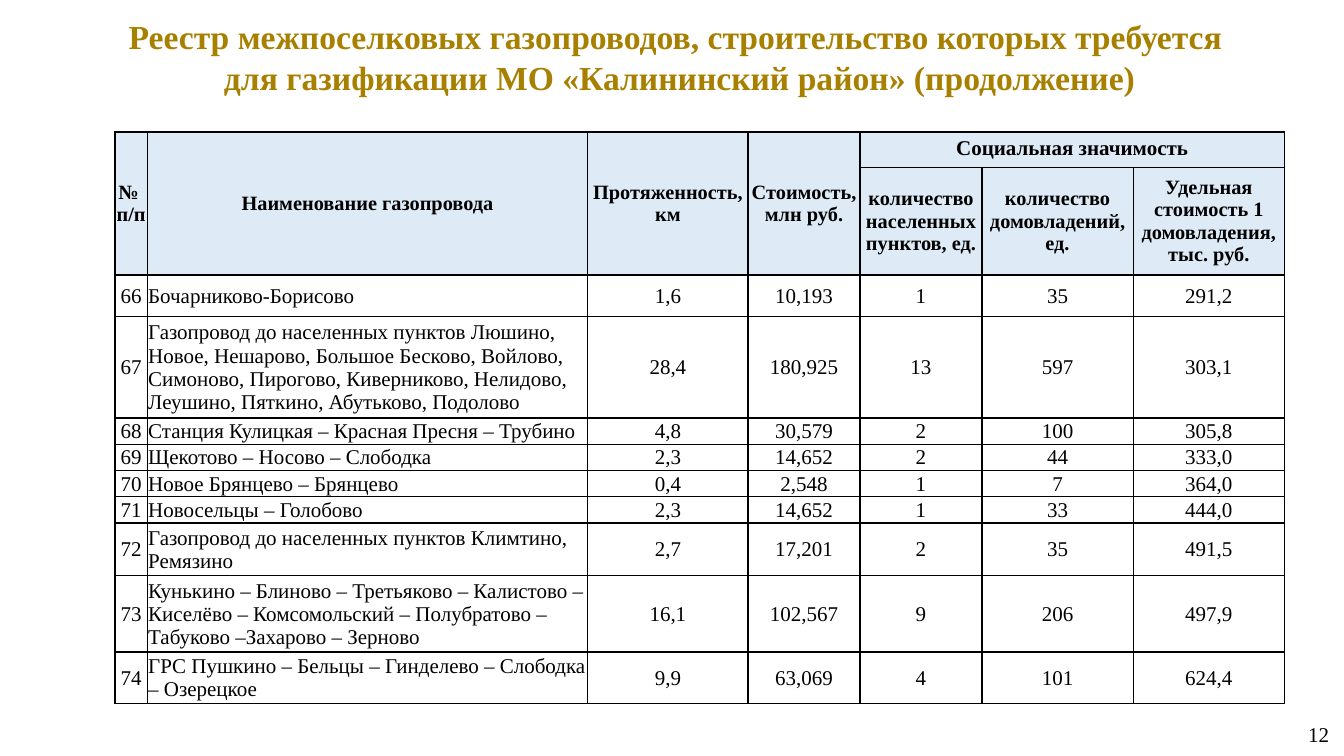
from lxml import etree
from pptx import Presentation
from pptx.dml.color import RGBColor
from pptx.enum.text import MSO_ANCHOR, PP_ALIGN
from pptx.oxml.ns import qn
from pptx.util import Inches, Pt

LEFT, CENTER, RIGHT = PP_ALIGN.LEFT, PP_ALIGN.CENTER, PP_ALIGN.RIGHT
TOP, MIDDLE = MSO_ANCHOR.TOP, MSO_ANCHOR.MIDDLE

THEME = {
    "font": "Times New Roman",
    "title": "A88000",
    "ink": "000000",
    "header": "DEEBF7",
    "title_size": 24,
    "body_size": 15,
    "header_size": 14.5,
    "border": 0.96,
}

TITLE = (
    "Реестр межпоселковых газопроводов, строительство которых требуется \n"
    "для газификации МО «Калининский район» (продолжение)"
)
PAGE_NUMBER = "12"
TALL_HEADINGS = ["№ \vп/п", "Наименование газопровода", "Протяженность, км", "Стоимость, млн руб."]
GROUP_HEADING = "Социальная значимость"
SUB_HEADINGS = [
    "количество населенных пунктов, ед.",
    "количество\nдомовладений, ед.",
    "Удельная стоимость 1 домовладения, тыс. руб.",
]
FIRST_NUMBER = 66
PIPELINES = [
    ("Бочарниково-Борисово", "1,6", "10,193", "1", "35", "291,2"),
    ("Газопровод до населенных пунктов Люшино, Новое, Нешарово, Большое Бесково, Войлово, "
     "Симоново, Пирогово, Киверниково, Нелидово, Леушино, Пяткино, Абутьково, Подолово",
     "28,4", "180,925", "13", "597", "303,1"),
    ("Станция Кулицкая – Красная Пресня – Трубино", "4,8", "30,579", "2", "100", "305,8"),
    ("Щекотово – Носово – Слободка", "2,3", "14,652", "2", "44", "333,0"),
    ("Новое Брянцево – Брянцево", "0,4", "2,548", "1", "7", "364,0"),
    ("Новосельцы – Голобово", "2,3", "14,652", "1", "33", "444,0"),
    ("Газопровод до населенных пунктов Климтино, Ремязино", "2,7", "17,201", "2", "35", "491,5"),
    ("Кунькино – Блиново – Третьяково – Калистово – Киселёво – Комсомольский – Полубратово – "
     "Табуково –Захарово – Зерново", "16,1", "102,567", "9", "206", "497,9"),
    ("ГРС Пушкино – Бельцы – Гинделево – Слободка – Озерецкое",
     "9,9", "63,069", "4", "101", "624,4"),
]
COLUMN_WIDTHS = [0.32, 4.37, 1.59, 1.11, 1.21, 1.5, 1.5]
ROW_HEIGHTS = [0.35, 1.06, 0.41, 1.0, 0.26, 0.26, 0.26, 0.26, 0.52, 0.76, 0.5]


def write(frame, text, size, color=THEME["ink"], bold=False, align=CENTER):
    for index, line in enumerate(text.split("\n")):
        para = frame.add_paragraph() if index else frame.paragraphs[0]
        para.text = line
        para.alignment = align
        for span in para.runs:
            span.font.name = THEME["font"]
            span.font.size = Pt(size)
            span.font.bold = bold
            span.font.color.rgb = RGBColor.from_string(color)


def add_text(page, place, text, **style):
    box = page.shapes.add_textbox(*map(Inches, place))
    box.text_frame.word_wrap = True
    box.text_frame.vertical_anchor = MIDDLE
    write(box.text_frame, text, **style)


def add_borders(cell):
    properties = cell._tc.get_or_add_tcPr()
    for index, side in enumerate(("lnL", "lnR", "lnT", "lnB")):
        line = etree.Element(qn(f"a:{side}"), w=str(Pt(THEME["border"])))
        fill = etree.SubElement(line, qn("a:solidFill"))
        etree.SubElement(fill, qn("a:srgbClr"), val=THEME["ink"])
        properties.insert(index, line)


def style_cell(cell, header):
    cell.margin_left = cell.margin_right = Inches(0.01)
    cell.margin_top = Inches(0.05 if header else 0.01)
    cell.margin_bottom = Inches(0.05 if header else 0)
    cell.vertical_anchor = MIDDLE
    if header:
        cell.fill.solid()
        cell.fill.fore_color.rgb = RGBColor.from_string(THEME["header"])
    else:
        cell.fill.background()
    add_borders(cell)


def add_register(page):
    table = page.shapes.add_table(
        len(ROW_HEIGHTS), len(COLUMN_WIDTHS), Inches(1.14), Inches(1.31),
        Inches(sum(COLUMN_WIDTHS)), Inches(sum(ROW_HEIGHTS)),
    ).table
    table.first_row = table.horz_banding = False
    for column, width in zip(table.columns, COLUMN_WIDTHS):
        column.width = Inches(width)
    for number, (row, height) in enumerate(zip(table.rows, ROW_HEIGHTS)):
        row.height = Inches(height)
        for cell in row.cells:
            style_cell(cell, header=number < 2)

    heading = {"size": THEME["header_size"], "bold": True}
    for column, text in enumerate(TALL_HEADINGS):
        table.cell(0, column).merge(table.cell(1, column))
        write(table.cell(0, column).text_frame, text, **heading)
    first = len(TALL_HEADINGS)
    group = table.cell(0, first)
    group.merge(table.cell(0, len(COLUMN_WIDTHS) - 1))
    group.vertical_anchor = TOP
    write(group.text_frame, GROUP_HEADING, size=THEME["body_size"], bold=True)
    for column, text in enumerate(SUB_HEADINGS, first):
        write(table.cell(1, column).text_frame, text, **heading)

    for index, pipeline in enumerate(PIPELINES):
        for column, text in enumerate((str(FIRST_NUMBER + index), *pipeline)):
            write(table.cell(index + 2, column).text_frame, text,
                  size=THEME["body_size"], align=LEFT if column == 1 else CENTER)


def main():
    deck = Presentation()
    deck.slide_width, deck.slide_height = Inches(13.33), Inches(7.5)
    page = deck.slides.add_slide(deck.slide_layouts[6])
    add_text(page, (10.57, 6.98, 2.71, 0.61), PAGE_NUMBER, size=THEME["body_size"], align=RIGHT)
    add_text(page, (0.86, 0.11, 11.76, 0.9), TITLE,
             size=THEME["title_size"], color=THEME["title"], bold=True)
    add_register(page)
    deck.save("out.pptx")


if __name__ == "__main__":
    main()
